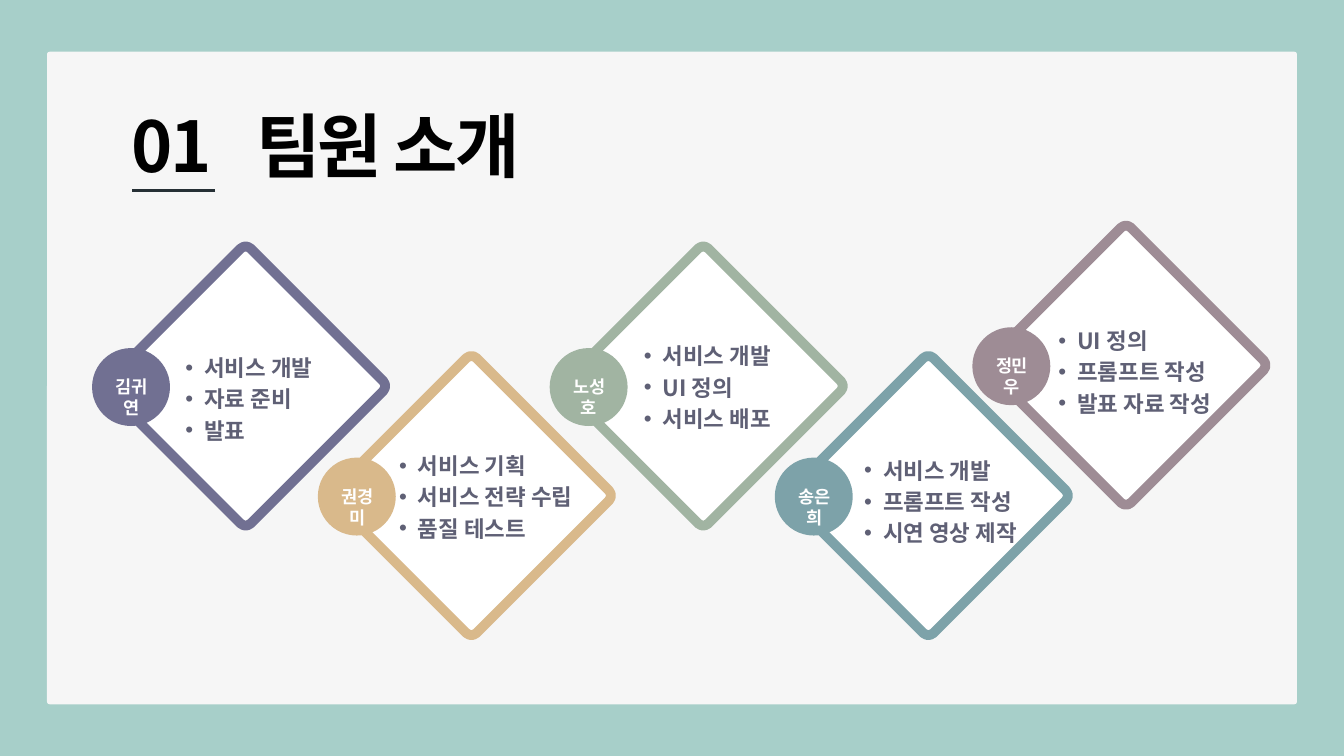
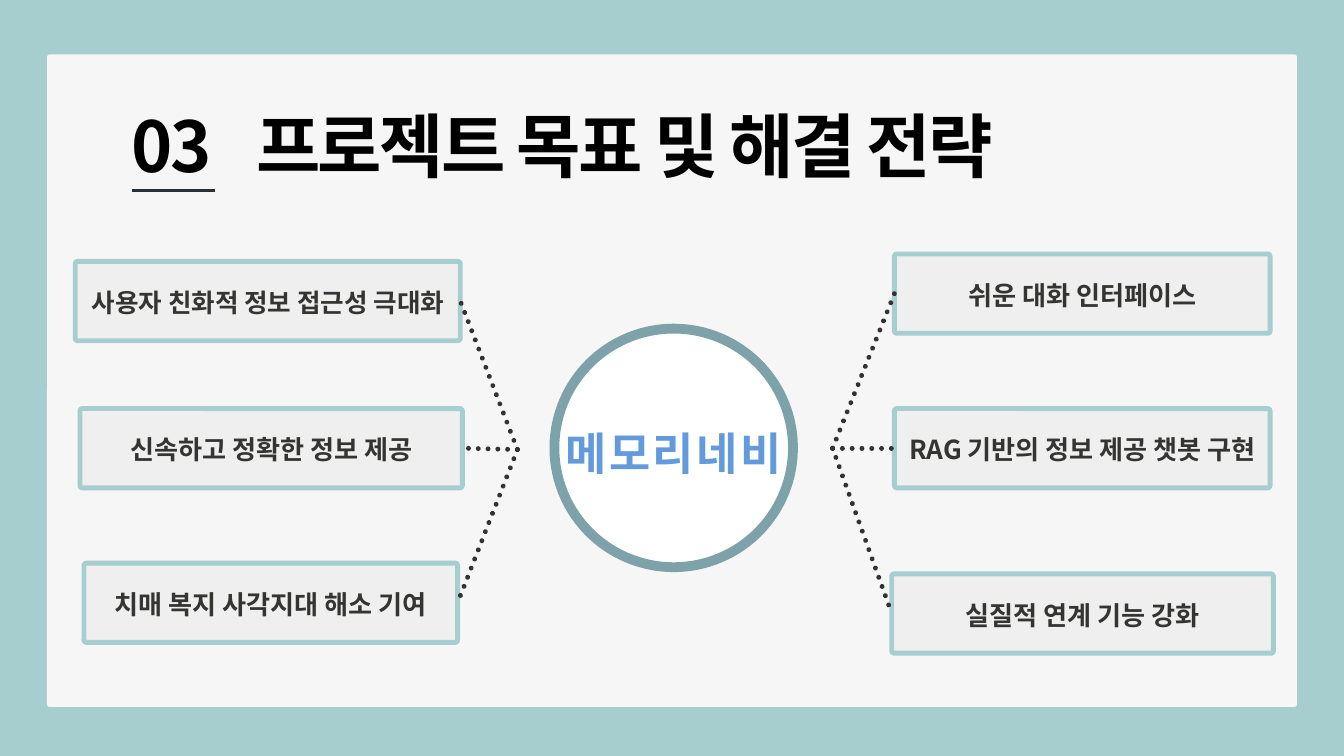
import pptx
import pptx.dml.color
import pptx.enum.dml
import pptx.enum.shapes
import pptx.enum.text
import pptx.oxml.ns
import pptx.util
from lxml import etree

FONT = "Noto Sans CJK KR"
INK, PANEL, WHITE = "000000", "F6F6F6", "FFFFFF"
RULE, TEAL, PALE, DOTS = "263035", "7DA2A9", "A7CECF", "333231"
LABEL, ROLE, BLUE = "343432", "5F6075", "639ADB"

rgb = pptx.dml.color.RGBColor.from_string
qn = pptx.oxml.ns.qn
Pt = pptx.util.Pt
SHAPE = pptx.enum.shapes.MSO_SHAPE
STRAIGHT = pptx.enum.shapes.MSO_CONNECTOR.STRAIGHT
ALIGN = pptx.enum.text.PP_ALIGN
ANCHOR = pptx.enum.text.MSO_ANCHOR

prs = pptx.Presentation()
prs.slide_width = pptx.util.Inches(20)
prs.slide_height = pptx.util.Inches(11.25)
U = prs.slide_width // 20  # one grid column, also the height of one row


def add_block(s, kind, box, fill, line=None, width=0, corner=None):
    """Add a flat preset shape; box is left, top, width, height in grid units."""
    sp = s.shapes.add_shape(kind, *[int(v * U) for v in box])
    sp.shadow.inherit = False
    sp.fill.solid()
    sp.fill.fore_color.rgb = rgb(fill)
    if line:
        sp.line.color.rgb = rgb(line)
        sp.line.width = Pt(width)
    else:
        sp.line.fill.background()
    if corner is not None:
        sp.adjustments[0] = corner
    return sp


def write(sp, lines, color, size, leading, align=ALIGN.LEFT, anchor=ANCHOR.TOP,
          wrap=True, spacing=0, bullet=False, tab=None, box=None):
    """Fill a shape with bold text, one paragraph per line, moving it to box if given."""
    if box:
        for name, v in zip(("left", "top", "width", "height"), box):
            setattr(sp, name, int(v * U))
    tf = sp.text_frame
    frame = {"margin_left": 0, "margin_top": 0, "margin_right": 0, "margin_bottom": 0,
             "word_wrap": wrap, "vertical_anchor": anchor,
             "auto_size": pptx.enum.text.MSO_AUTO_SIZE.NONE}
    for name, v in frame.items():
        setattr(tf, name, v)
    for i, line in enumerate(lines):
        p = tf.paragraphs[0] if i == 0 else tf.add_paragraph()
        pPr = p._p.get_or_add_pPr()
        if bullet:
            pPr.set("marL", str(int(0.57 * U)))
            pPr.set("indent", str(int(-0.28 * U)))
            etree.SubElement(pPr, qn("a:buFont"), typeface="Arial")
            etree.SubElement(pPr, qn("a:buChar"), char="•")
        if tab:
            tabs = etree.SubElement(pPr, qn("a:tabLst"))
            etree.SubElement(tabs, qn("a:tab"), pos=str(int(tab * U)), algn="l")
        for name, v in {"alignment": align, "line_spacing": Pt(leading),
                        "space_before": Pt(0), "space_after": Pt(0)}.items():
            setattr(p, name, v)
        r = p.add_run()
        r.text = line
        for name, v in {"name": FONT, "size": Pt(size), "bold": True}.items():
            setattr(r.font, name, v)
        r.font.color.rgb = rgb(color)
        rPr = r._r.get_or_add_rPr()
        etree.SubElement(rPr, qn("a:ea"), typeface=FONT)
        if spacing:
            rPr.set("spc", str(round(spacing * 100)))


# Shared frame: background, panel, title and the rule under its number
COMPARISON, TITLE_ONLY = 4, 5
slides = []
for layout, background, panel_top, title in (
    (COMPARISON, "A7CFC9", 0.77, "01\t팀원 소개"),
    (TITLE_ONLY, PALE, 0.81, "03\t프로젝트 목표 및 해결 전략"),
):
    s = prs.slides.add_slide(prs.slide_layouts[layout])
    s.background.fill.solid()
    s.background.fill.fore_color.rgb = rgb(background)
    add_block(s, SHAPE.ROUNDED_RECTANGLE, (0.7, panel_top, 18.6, 9.71), PANEL, corner=0.004)
    sp = s.shapes.title
    sp.element.getparent().append(sp.element)  # bring in front of the panel
    write(sp, [title], INK, 75, 89.2, spacing=-2.7, tab=1.85, box=(1.96, 1.53, 13.11, 1.28))
    c = s.shapes.add_connector(STRAIGHT, *[int(v * U) for v in (3.2, 2.83, 1.96, 2.83)])
    c.line.color.rgb = rgb(RULE)
    c.line.width = Pt(3)
    etree.SubElement(c.element.spPr, qn("a:effectLst"))
    slides.append(s)
team, strategy = slides

# Team members: a diamond with a name badge on its left corner and a list of roles
SPAN, SIDE, BADGE = 4.15, 3, 1.16
INSET = (SPAN - SIDE) / 2
members = [
    ("김귀연", "717092", (1.58, 3.67), (2.47, 5.2, 2.6, 1.37), ["서비스 개발", "자료 준비", "발표"]),
    ("권경미", "D9B98B", (4.94, 5.3), (5.65, 6.66, 3.01, 1.37),
     ["서비스 기획", "서비스 전략 수립", "품질 테스트"]),
    ("노성호", "A1B4A2", (8.39, 3.67), (9.29, 5.03, 2.71, 1.37),
     ["서비스 개발", "UI 정의", "서비스 배포"]),
    ("송은희", TEAL, (11.74, 5.3), (12.57, 6.73, 2.82, 1.37),
     ["서비스 개발", "프롬프트 작성", "시연 영상 제작"]),
    ("정민우", "9E8C95", (14.68, 3.36), (15.46, 4.8, 2.82, 1.37),
     ["UI 정의", "프롬프트 작성", "발표 자료 작성"]),
]
bodies = [sp for sp in team.placeholders if sp.placeholder_format.idx > 0]
bodies.append(team.shapes.add_textbox(0, 0, U, U))  # the layout has four bodies
for (name, color, (x, y), role_box, roles), body in zip(members, bodies):
    diamond = add_block(team, SHAPE.ROUNDED_RECTANGLE, (x + INSET, y + INSET, SIDE, SIDE),
                        WHITE, color, 10.5, corner=0.035)
    diamond.rotation = 45
    badge_x, badge_y = x - 0.21, y + 1.51
    add_block(team, SHAPE.OVAL, (badge_x, badge_y, BADGE, BADGE), color)
    write(team.shapes.add_textbox(0, 0, U, U), [name], WHITE, 18.8, 22.4, ALIGN.CENTER,
          spacing=-0.7, box=(badge_x + 0.24, badge_y + 0.42, 0.69, 0.33))
    body.element.getparent().append(body.element)
    write(body, roles, ROLE, 24, 33.6, bullet=True, box=role_box)

# Strategy: the service in the centre, goals on the left, solutions on the right
hub = add_block(strategy, SHAPE.OVAL, (8.25, 4.89, 3.55, 3.55), WHITE, TEAL, 10.5)
write(hub, ["메모리네비"], BLUE, 48, 67.2, ALIGN.CENTER, ANCHOR.MIDDLE, wrap=False, spacing=2.9)

LEFT_SIDE, RIGHT_SIDE = 1, 3
branches = [
    ((7.7, 6.69), RIGHT_SIDE, [
        (1.12, 3.89, 5.73, 27.4, "사용자 친화적 정보 접근성 극대화"),
        (1.19, 6.08, 5.69, 28, "신속하고 정확한 정보 제공"),
        (1.25, 8.38, 5.56, 28, "치매 복지 사각지대 해소 기여")]),
    ((12.39, 6.67), LEFT_SIDE, [
        (13.31, 3.78, 5.59, 28, "쉬운 대화 인터페이스"),
        (13.31, 6.08, 5.59, 28, "RAG 기반의 정보 제공 챗봇 구현"),
        (13.27, 8.54, 5.68, 28, "실질적 연계 기능 강화")]),
]
for (fork_x, fork_y), side, labels in branches:
    for x, y, width, size, text in labels:
        sp = add_block(strategy, SHAPE.ROUNDED_RECTANGLE, (x, y, width, 1.18),
                       "EFEFEF", PALE, 5.25, corner=0.03)
        write(sp, [text], LABEL, size, 35.8, ALIGN.CENTER, ANCHOR.MIDDLE, wrap=False)
        fork = int(fork_x * U), int(fork_y * U)
        c = strategy.shapes.add_connector(STRAIGHT, *fork, *fork)
        c.end_connect(sp, side)
        c.line.color.rgb = rgb(DOTS)
        c.line.width = Pt(5.25)
        c.line.dash_style = pptx.enum.dml.MSO_LINE.ROUND_DOT
        c.element.spPr.find(qn("a:ln")).set("cap", "rnd")
        etree.SubElement(c.element.spPr, qn("a:effectLst"))

prs.save("out.pptx")
